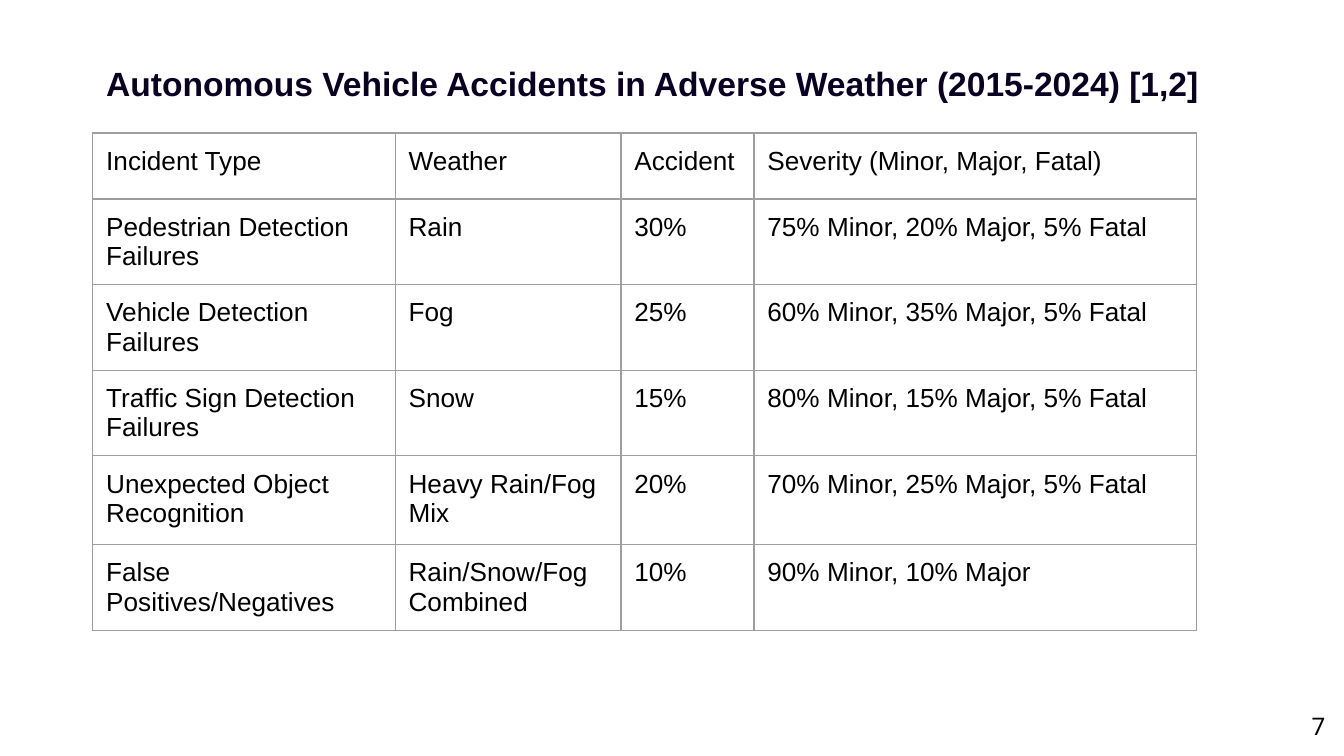
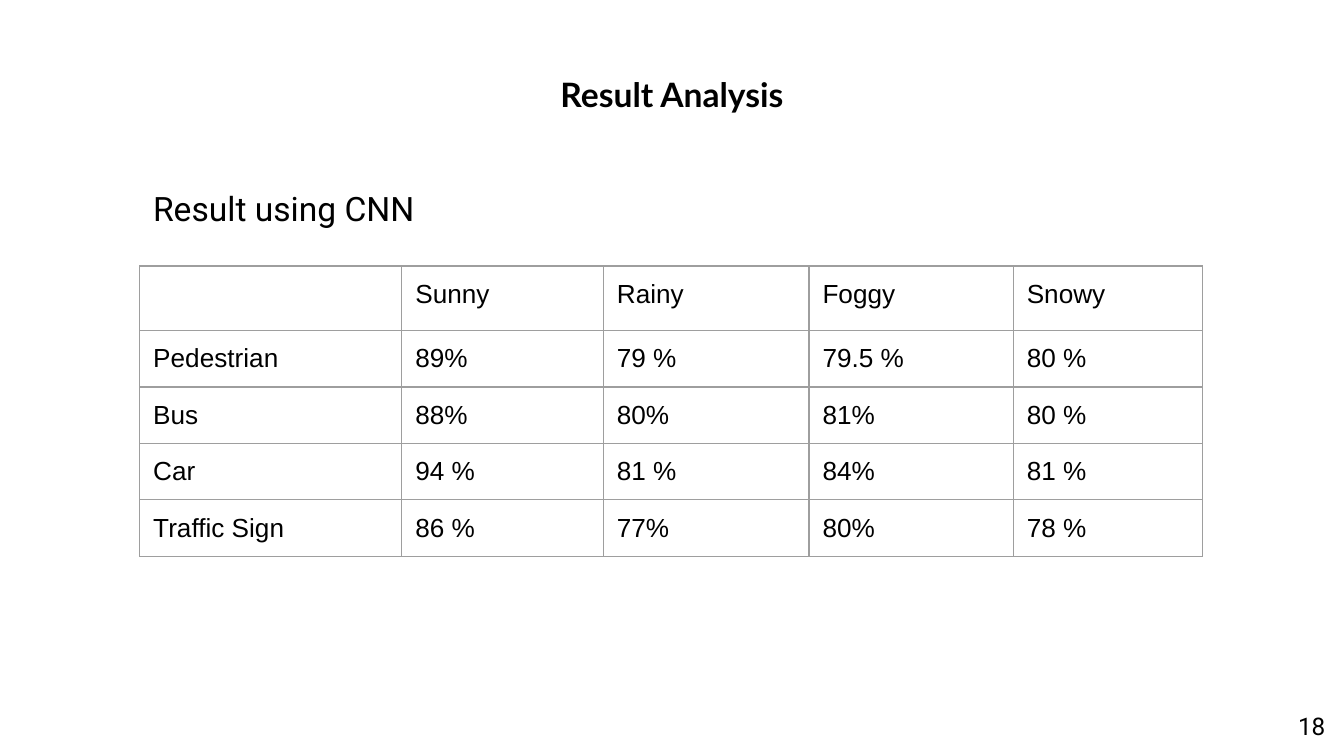
from pptx import Presentation
from pptx.dml.color import RGBColor
from pptx.enum.text import MSO_ANCHOR, MSO_AUTO_SIZE, PP_ALIGN
from pptx.oxml import parse_xml
from pptx.oxml.ns import nsdecls
from pptx.util import Inches, Pt

BLACK, NAVY, GREY = "000000", "0A0022", "9E9E9E"
PAD = 0.1
CELL = {"name": "Arial", "size": Pt(14), "bold": False}
PAGE = {"name": "Roboto", "size": Pt(13), "bold": False}
NOTE = {"name": "Roboto", "size": Pt(18), "bold": False}
HEAD = {"size": Pt(18), "bold": True}

SLIDES = [
    {
        "title": "Autonomous Vehicle Accidents in Adverse Weather (2015-2024) [1,2]",
        "font": "Arial", "color": NAVY, "align": PP_ALIGN.LEFT,
        "box": (0.69, 0.37, 8.75, 0.51),
        "page": "7",
        "spot": (0.69, 0.99),
        "cols": [2.25, 1.68, 0.99, 3.29],
        "rows": [0.49, 0.49, 0.49, 0.49, 0.66, 0.49],
        "cells": [
            ("Incident Type", "Weather", "Accident", "Severity (Minor, Major, Fatal)"),
            ("Pedestrian Detection Failures", "Rain", "30%", "75% Minor, 20% Major, 5% Fatal"),
            ("Vehicle Detection Failures", "Fog", "25%", "60% Minor, 35% Major, 5% Fatal"),
            ("Traffic Sign Detection Failures", "Snow", "15%", "80% Minor, 15% Major, 5% Fatal"),
            ("Unexpected Object Recognition", "Heavy Rain/Fog Mix", "20%",
             "70% Minor, 25% Major, 5% Fatal"),
            ("False Positives/Negatives", "Rain/Snow/Fog Combined", "10%", "90% Minor, 10% Major"),
        ],
    },
    {
        "title": "Result Analysis",
        "font": "Lato", "color": BLACK, "align": PP_ALIGN.CENTER,
        "box": (0.5, 0.45, 9, 0.53),
        "page": "18",
        "note": "Result using CNN",
        "spot": (1.04, 1.98),
        "cols": [1.95, 1.5, 1.53, 1.52, 1.41],
        "rows": [0.48] + [0.42] * 4,
        "cells": [
            ("", "Sunny", "Rainy", "Foggy", "Snowy"),
            ("Pedestrian", "89%", "79 %", "79.5 %", "80 %"),
            ("Bus", "88%", "80%", "81%", "80 %"),
            ("Car", "94 %", "81 %", "84%", "81 %"),
            ("Traffic Sign", "86 %", "77%", "80%", "78 %"),
        ],
    },
]


def rgb(color):
    return RGBColor.from_string(color)


def write(frame, text, font, color=BLACK, align=PP_ALIGN.LEFT):
    para = frame.paragraphs[0]
    para.alignment = align
    run = para.add_run()
    run.text = text
    for key, value in font.items():
        setattr(run.font, key, value)
    run.font.color.rgb = rgb(color)


def pad(item):
    for side in ("left", "top", "right", "bottom"):
        setattr(item, f"margin_{side}", Inches(PAD))


def fit(frame):
    pad(frame)
    frame.word_wrap = True
    frame.auto_size = MSO_AUTO_SIZE.NONE
    frame.vertical_anchor = MSO_ANCHOR.TOP


def add_title(slide, data):
    title = slide.shapes.title
    for key, value in zip(("left", "top", "width", "height"), data["box"]):
        setattr(title, key, Inches(value))
    fit(title.text_frame)
    font = {**HEAD, "name": data["font"]}
    write(title.text_frame, data["title"], font, data["color"], data["align"])


def add_text(slide, box, text, font, align=PP_ALIGN.LEFT):
    frame = slide.shapes.add_textbox(*map(Inches, box)).text_frame
    fit(frame)
    write(frame, text, font, align=align)


def frame_cell(cell):
    """Draw a thin grey line on each side of the cell."""
    props = cell._tc.get_or_add_tcPr()
    for place, side in enumerate("LRTB"):
        props.insert(place, parse_xml(
            f'<a:ln{side} {nsdecls("a")} w="{Pt(0.75)}"><a:solidFill>'
            f'<a:srgbClr val="{GREY}"/></a:solidFill></a:ln{side}>'))


def add_grid(slide, data):
    cols, rows = data["cols"], data["rows"]
    box = (*data["spot"], sum(cols), sum(rows))
    table = slide.shapes.add_table(len(rows), len(cols), *map(Inches, box)).table
    table.first_row = table.horz_banding = False
    for col, width in zip(table.columns, cols):
        col.width = Inches(width)
    for row, height, texts in zip(table.rows, rows, data["cells"]):
        row.height = Inches(height)
        for cell, text in zip(row.cells, texts):
            pad(cell)
            cell.fill.background()
            frame_cell(cell)
            write(cell.text_frame, text, CELL)


def main():
    deck = Presentation()
    deck.slide_width = Inches(10)
    deck.slide_height = deck.slide_width * 9 // 16
    for data in SLIDES:
        slide = deck.slides.add_slide(deck.slide_layouts[5])
        add_title(slide, data)
        add_text(slide, (9.36, 5.19, 0.6, 0.43), data["page"], PAGE, PP_ALIGN.RIGHT)
        add_grid(slide, data)
        if "note" in data:
            add_text(slide, (1.04, 1.3, 3.02, 0.53), data["note"], NOTE)
    deck.save("out.pptx")


if __name__ == "__main__":
    main()
